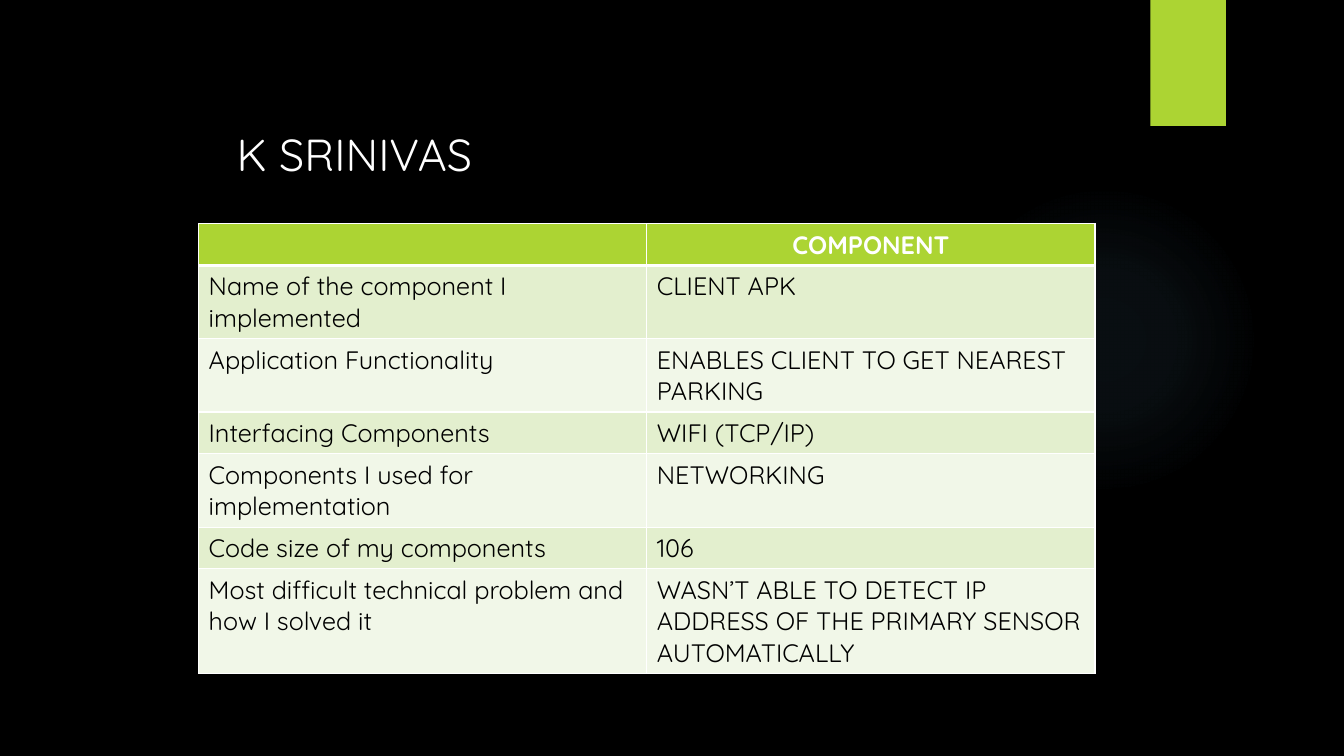
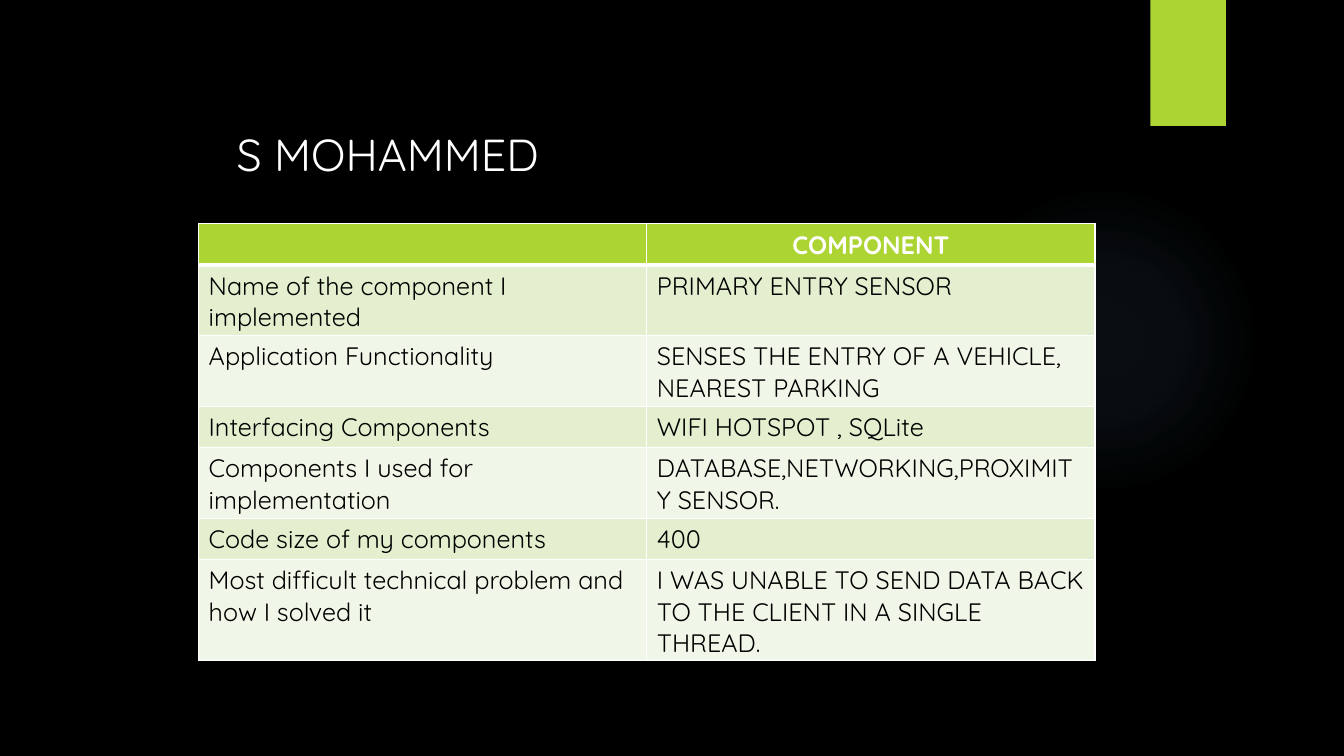
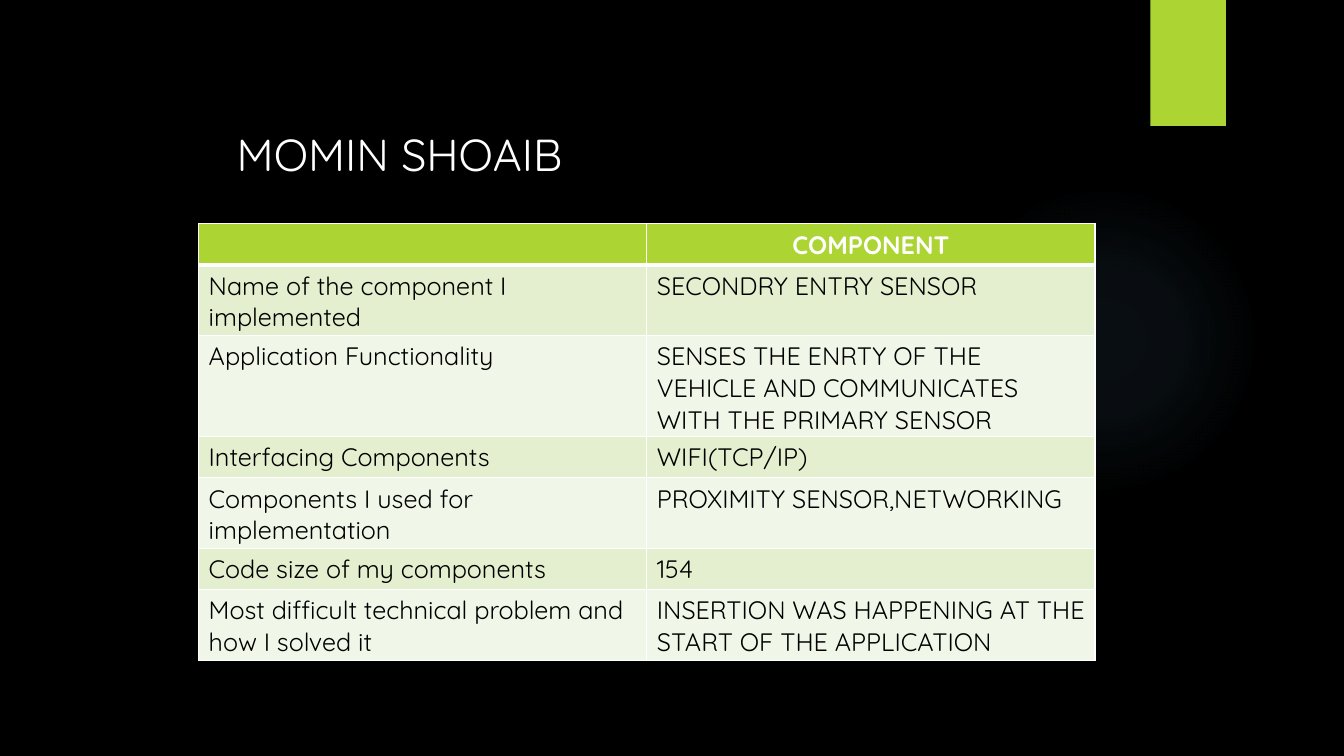
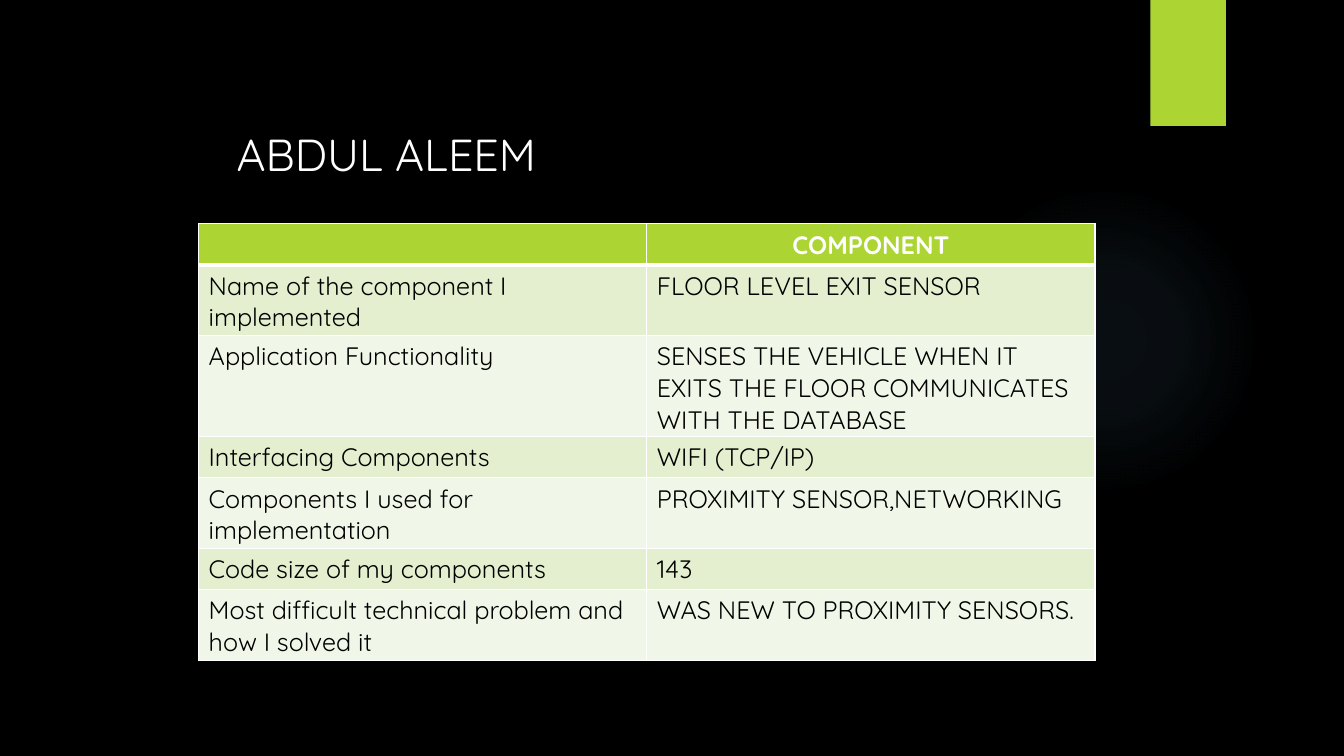
from dataclasses import dataclass

from lxml.etree import SubElement
from pptx import Presentation
from pptx.dml.color import RGBColor
from pptx.enum.shapes import MSO_SHAPE as Preset
from pptx.enum.text import MSO_AUTO_SIZE as AutoSize, PP_ALIGN as Align
from pptx.oxml import parse_xml
from pptx.oxml.ns import nsdecls, qn
from pptx.slide import Slide
from pptx.table import _Cell as Cell
from pptx.text.text import TextFrame
from pptx.util import Inches, Pt

FONT = "Quicksand"
BLACK = "000000"
WHITE = "FFFFFF"
LIME = "ACD433"
GLOW = "7AC4F0"
BANDS = ("E3EFCE", "F1F7E8")
GLOW_STOPS = ((0, 7), (36, 6), (69, 0))

ROW_LABELS = (
    "Name of the component I implemented",
    "Application Functionality",
    "Interfacing Components",
    "Components I used for implementation",
    "Code size of my components",
    "Most difficult technical problem and how I solved it",
)


@dataclass(frozen=True)
class Member:
    name: str
    name_width: float
    answers: tuple[str, ...]


MEMBERS = (
    Member("K SRINIVAS", 2.54, (
        "CLIENT APK",
        "ENABLES CLIENT TO GET NEAREST PARKING",
        "WIFI (TCP/IP)",
        "NETWORKING",
        "106",
        "WASN’T ABLE TO DETECT IP ADDRESS OF THE PRIMARY SENSOR AUTOMATICALLY",
    )),
    Member("S MOHAMMED", 5.84, (
        "PRIMARY ENTRY SENSOR",
        "SENSES THE ENTRY OF A VEHICLE, NEAREST PARKING",
        "WIFI HOTSPOT , SQLite",
        "DATABASE,NETWORKING,PROXIMITY SENSOR.",
        "400",
        "I WAS UNABLE TO SEND DATA BACK TO THE CLIENT IN A SINGLE THREAD.",
    )),
    Member("MOMIN SHOAIB", 4.16, (
        "SECONDRY ENTRY SENSOR",
        "SENSES THE ENRTY OF THE VEHICLE AND COMMUNICATES WITH THE PRIMARY SENSOR",
        "WIFI(TCP/IP)",
        "PROXIMITY SENSOR,NETWORKING",
        "154",
        "INSERTION WAS HAPPENING AT THE START OF THE APPLICATION",
    )),
    Member("ABDUL ALEEM", 3.94, (
        "FLOOR LEVEL EXIT SENSOR",
        "SENSES THE VEHICLE WHEN IT EXITS THE FLOOR COMMUNICATES WITH THE DATABASE",
        "WIFI (TCP/IP)",
        "PROXIMITY SENSOR,NETWORKING",
        "143",
        "WAS NEW TO PROXIMITY SENSORS.",
    )),
)


def color(value: str) -> RGBColor:
    return RGBColor.from_string(value)


def write(frame: TextFrame, text: str, *, size: int = 18, ink: str = BLACK,
          bold: bool = False, align: Align = Align.LEFT) -> None:
    paragraph = frame.paragraphs[0]
    paragraph.alignment = align
    run = paragraph.add_run()
    run.text = text
    run.font.name = FONT
    run.font.size = Pt(size)
    run.font.bold = bold
    run.font.color.rgb = color(ink)


def add_glow(slide: Slide) -> None:
    shape = slide.shapes.add_shape(
        Preset.OVAL, Inches(9.41), Inches(1.83), Inches(3.08), Inches(3.08))
    shape.shadow.inherit = False
    shape.line.fill.background()
    shape.fill.background()
    stops = "".join(
        f'<a:gs pos="{position * 1000}"><a:srgbClr val="{GLOW}">'
        f'<a:alpha val="{opacity * 1000}"/></a:srgbClr></a:gs>'
        for position, opacity in GLOW_STOPS)
    gradient = parse_xml(
        f'<a:gradFill {nsdecls("a")} rotWithShape="1"><a:gsLst>{stops}</a:gsLst>'
        '<a:path path="circle"><a:fillToRect l="50000" t="50000" r="50000" b="50000"/>'
        '</a:path></a:gradFill>')
    properties = shape.element.spPr
    properties.replace(properties.find(qn("a:noFill")), gradient)


def add_ribbon(slide: Slide) -> None:
    shape = slide.shapes.add_shape(
        Preset.RECTANGLE, Inches(11.41), 0, Inches(0.75), Inches(1.25))
    shape.shadow.inherit = False
    shape.fill.solid()
    shape.fill.fore_color.rgb = color(LIME)
    shape.line.fill.background()


def style_cell(cell: Cell, fill: str, top: int, bottom: int) -> None:
    properties = cell._tc.get_or_add_tcPr()
    for side, width in (("L", 1), ("R", 1), ("T", top), ("B", bottom)):
        border = SubElement(properties, qn(f"a:ln{side}"), w=str(Pt(width)))
        solid = SubElement(border, qn("a:solidFill"))
        SubElement(solid, qn("a:srgbClr"), val=WHITE)
    cell.fill.solid()
    cell.fill.fore_color.rgb = color(fill)


def add_component_table(slide: Slide, answers: tuple[str, ...]) -> None:
    rows = (("", "COMPONENT"), *zip(ROW_LABELS, answers))
    row_height = Inches(0.41)
    table = slide.shapes.add_table(
        len(rows), 2, Inches(1.97), Inches(2.22),
        Inches(8.89), row_height * len(rows)).table
    table.horz_banding = False
    for row_index, texts in enumerate(rows):
        table.rows[row_index].height = row_height
        header = row_index == 0
        fill = LIME if header else BANDS[(row_index - 1) % 2]
        for column_index, text in enumerate(texts):
            cell = table.cell(row_index, column_index)
            style_cell(cell, fill, top=3 if row_index == 1 else 1,
                       bottom=3 if header else 1)
            if text:
                write(cell.text_frame, text, bold=header,
                      ink=WHITE if header else BLACK,
                      align=Align.CENTER if header else Align.LEFT)


def add_name(slide: Slide, member: Member) -> None:
    box = slide.shapes.add_textbox(
        Inches(2.25), Inches(1.21), Inches(member.name_width), Inches(0.64))
    frame = box.text_frame
    frame.word_wrap = True
    frame.auto_size = AutoSize.SHAPE_TO_FIT_TEXT
    write(frame, member.name, size=32, ink=WHITE)


def main() -> None:
    presentation = Presentation()
    presentation.slide_width = Inches(13.33)
    presentation.slide_height = Inches(7.5)
    background = presentation.slide_master.background.fill
    background.solid()
    background.fore_color.rgb = color(BLACK)
    for member in MEMBERS:
        slide = presentation.slides.add_slide(presentation.slide_layouts[6])
        add_glow(slide)
        add_ribbon(slide)
        add_component_table(slide, member.answers)
        add_name(slide, member)
    presentation.save("out.pptx")


if __name__ == "__main__":
    main()
